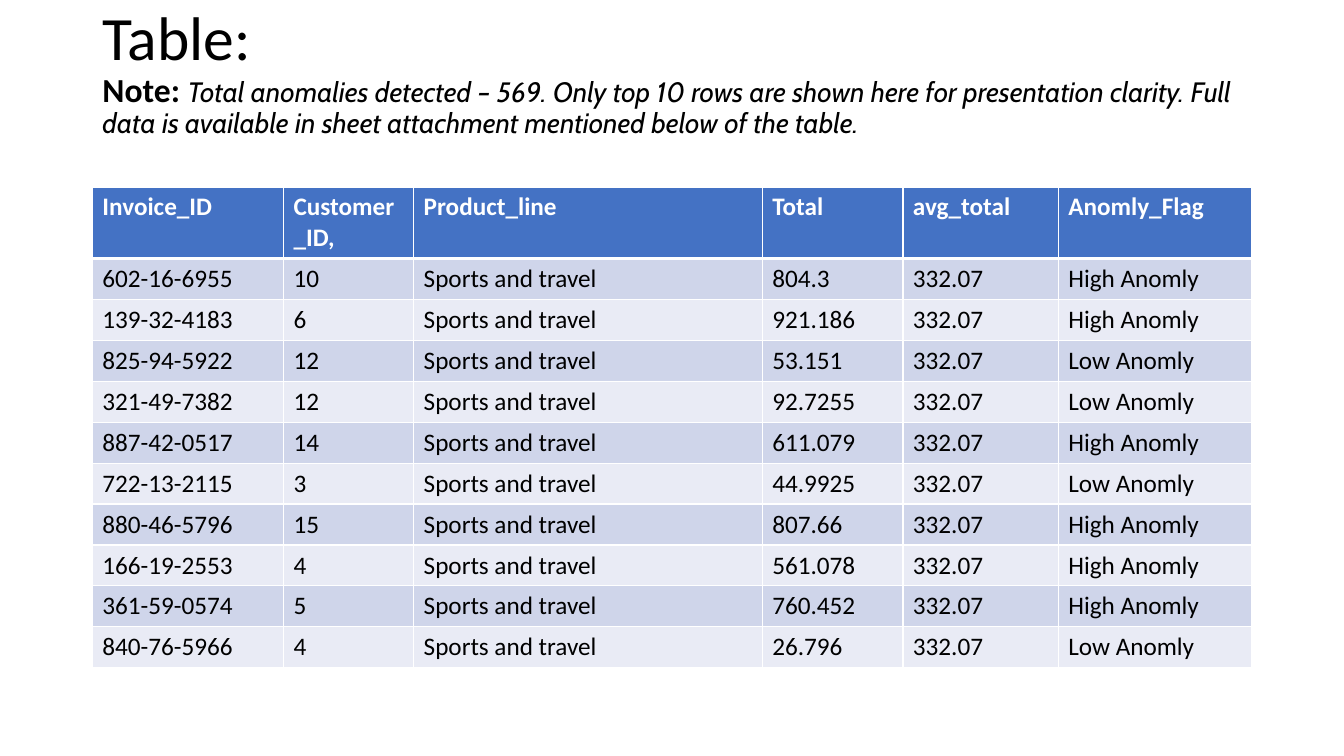
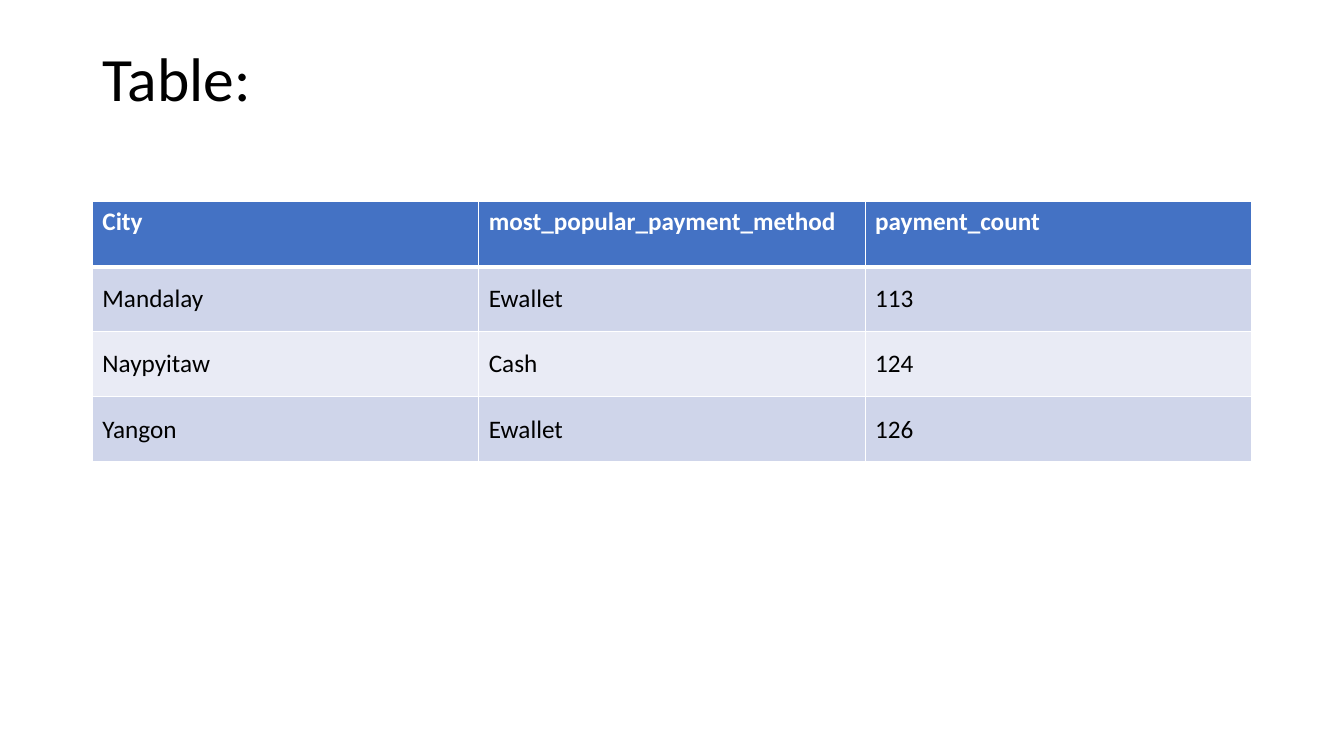
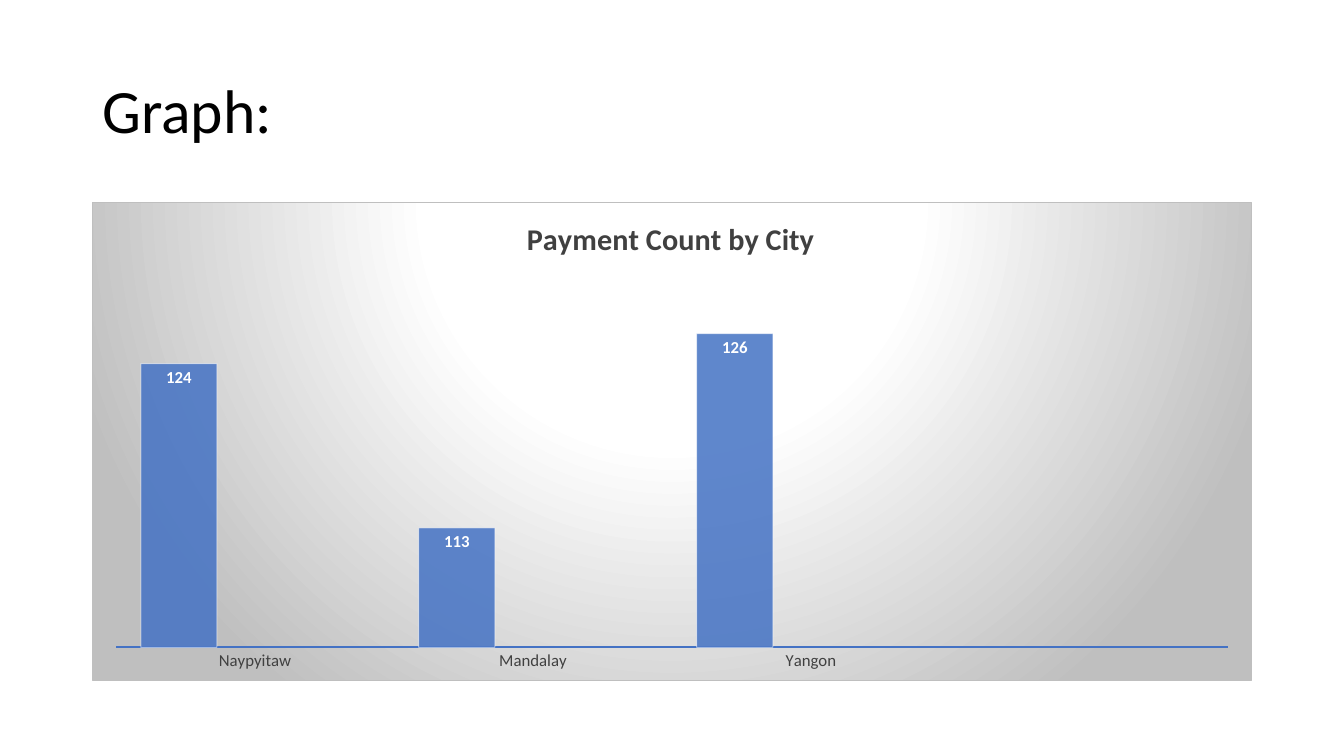
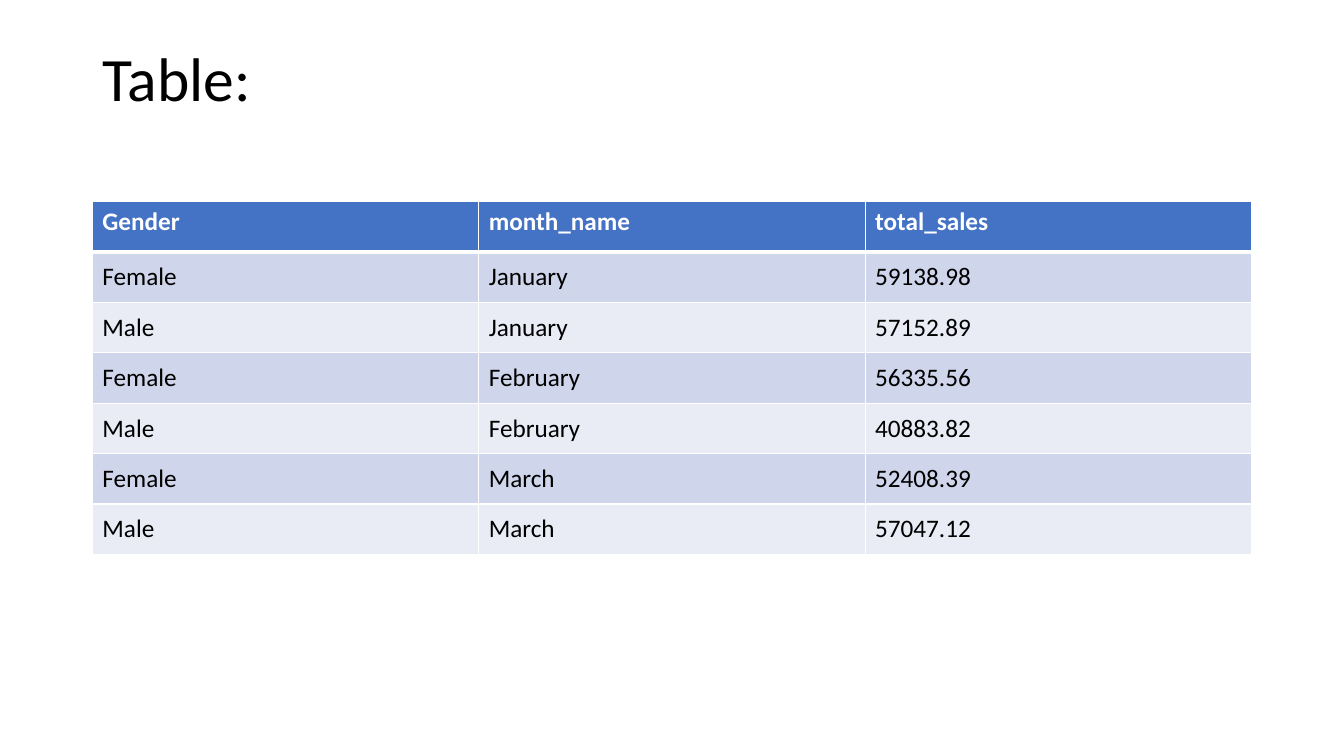
from lxml.etree import SubElement
from pptx import Presentation
from pptx.chart.data import CategoryChartData
from pptx.dml.color import RGBColor
from pptx.enum.chart import XL_CHART_TYPE as ChartType
from pptx.enum.chart import XL_LABEL_POSITION as LabelPos
from pptx.enum.chart import XL_TICK_MARK as TickMark
from pptx.enum.text import MSO_ANCHOR as Anchor
from pptx.enum.text import MSO_AUTO_SIZE as AutoSize
from pptx.enum.text import PP_ALIGN as Align
from pptx.oxml import parse_xml
from pptx.oxml.ns import nsdecls, qn
from pptx.util import Pt

EMU_PER_PX = 9525  # 96 px to the inch
SLIDE_W, SLIDE_H = 1280, 720
LEFT, WIDTH = 88, 1104
TITLE_TOP, BODY_TOP = 39, 192
FONT = "Calibri"
COLORS = {
    "text": "000000",
    "white": "FFFFFF",
    "header": "4472C4",
    "band_dark": "CFD5EA",
    "band_light": "E9EBF5",
    "chart_text": "404040",
    "chart_edge": "BFBFBF",
    "series": ["4472C4", "ED7D31", "A5A5A5"],
}

TITLE_FONT = {"name": FONT, "size": 44, "color": COLORS["text"]}
NOTE_LABEL_FONT = TITLE_FONT | {"size": 24, "bold": True}
NOTE_FONT = TITLE_FONT | {"name": "Cabin", "size": 20, "italic": True}
CELL_FONT = {"name": FONT, "size": 18, "color": COLORS["text"], "bold": False}
HEADER_FONT = CELL_FONT | {"color": COLORS["white"], "bold": True}
CHART_FONT = {"name": FONT, "size": 10, "color": COLORS["text"]}
CHART_TITLE_FONT = {"name": FONT, "size": 21.6, "color": COLORS["chart_text"], "bold": True}
AXIS_FONT = {"name": FONT, "size": 12, "color": COLORS["chart_text"]}
LABEL_FONT = {"name": FONT, "size": 12, "color": COLORS["white"], "bold": True}

NOTE = ("Total anomalies detected – 569. Only top 10 rows are shown here for presentation "
        "clarity. Full data is available in sheet attachment mentioned below of the table.")

ANOMALY_HEADER = ["Invoice_ID", "Customer_ID,", "Product_line", "Total", "avg_total", "Anomly_Flag"]
ANOMALY_WIDTHS = [182, 124, 332, 134, 148, 184]
ANOMALIES = [
    ("602-16-6955", "10", "804.3", "High"),
    ("139-32-4183", "6", "921.186", "High"),
    ("825-94-5922", "12", "53.151", "Low"),
    ("321-49-7382", "12", "92.7255", "Low"),
    ("887-42-0517", "14", "611.079", "High"),
    ("722-13-2115", "3", "44.9925", "Low"),
    ("880-46-5796", "15", "807.66", "High"),
    ("166-19-2553", "4", "561.078", "High"),
    ("361-59-0574", "5", "760.452", "High"),
    ("840-76-5966", "4", "26.796", "Low"),
]
PAYMENTS = [
    ["City", "most_popular_payment_method", "payment_count"],
    ["Mandalay", "Ewallet", "113"],
    ["Naypyitaw", "Cash", "124"],
    ["Yangon", "Ewallet", "126"],
]
SALES = [
    ["Gender", "month_name", "total_sales"],
    ["Female", "January", "59138.98"],
    ["Male", "January", "57152.89"],
    ["Female", "February", "56335.56"],
    ["Male", "February", "40883.82"],
    ["Female", "March", "52408.39"],
    ["Male", "March", "57047.12"],
]
CITIES = ["Naypyitaw", "Mandalay", "Yangon", ""]
CITY_COUNTS = [124, 113, 126, None]


def px(length):
    return length * EMU_PER_PX


def rgb(color):
    return RGBColor.from_string(color)


def set_font(font, style):
    for key, value in style.items():
        if key == "color":
            font.color.rgb = rgb(value)
        else:
            setattr(font, key, Pt(value) if key == "size" else value)


def add_title_slide(deck, heading, top, height, note=None):
    """Add a title-only slide; a note goes under the heading in the same title."""
    slide = deck.slides.add_slide(deck.slide_layouts[5])
    title = slide.shapes.title
    title.left, title.top, title.width, title.height = map(px, (LEFT, top, WIDTH, height))
    frame = title.text_frame
    frame.word_wrap = True
    frame.auto_size = AutoSize.NONE
    frame.vertical_anchor = Anchor.MIDDLE
    line = frame.paragraphs[0]
    line.alignment, line.line_spacing = Align.LEFT, 0.9
    parts = [(heading, TITLE_FONT)]
    if note:
        parts += [("Note: ", NOTE_LABEL_FONT), (note, NOTE_FONT)]
    for index, (text, style) in enumerate(parts):
        if index == 1:
            line.add_line_break()
        run = line.add_run()
        run.text = text
        set_font(run.font, style)
    return slide


def set_borders(cell, bottom):
    """Draw white cell borders of 1 point, and a bottom one of the given width."""
    properties = cell._tc.get_or_add_tcPr()
    for index, (side, width) in enumerate({"L": 1, "R": 1, "T": 1, "B": bottom}.items()):
        properties.insert(index, parse_xml(
            f'<a:ln{side} {nsdecls("a")} w="{Pt(width)}"><a:solidFill>'
            f'<a:srgbClr val="{COLORS["white"]}"/></a:solidFill></a:ln{side}>'))


def add_data_table(slide, rows, box, widths, heights):
    left, top, width = box
    table = slide.shapes.add_table(
        len(rows), len(widths), *map(px, (left, top, width, sum(heights)))).table
    for column, column_width in zip(table.columns, widths):
        column.width = px(column_width)
    for index, (row, height, values) in enumerate(zip(table.rows, heights, rows)):
        row.height = px(height)
        is_header = index == 0
        band = "header" if is_header else "band_dark" if index % 2 else "band_light"
        for cell, value in zip(row.cells, values):
            cell.text = value
            set_font(cell.text_frame.paragraphs[0].runs[0].font,
                     HEADER_FONT if is_header else CELL_FONT)
            cell.vertical_anchor = Anchor.TOP if is_header else Anchor.MIDDLE
            cell.fill.solid()
            cell.fill.fore_color.rgb = rgb(COLORS[band])
            set_borders(cell, bottom=3 if is_header else 1)


def set_layout(parent, index, **fractions):
    """Fix the place of a chart part, in fractions of the chart."""
    old = parent.find(qn("c:layout"))
    if old is not None:
        parent.remove(old)
    inner = '<c:layoutTarget val="inner"/>' if "w" in fractions else ""
    modes = "".join(f'<c:{key}Mode val="edge"/>' for key in "xy")
    places = "".join(f'<c:{key} val="{value}"/>' for key, value in fractions.items())
    parent.insert(index, parse_xml(
        f'<c:layout {nsdecls("c")}><c:manualLayout>{inner}{modes}{places}'
        f'</c:manualLayout></c:layout>'))


def set_chart_background(chart):
    stops = "".join(
        f'<a:gs pos="{percent * 1000}"><a:srgbClr val="{COLORS[name]}"/></a:gs>'
        for percent, name in ((0, "white"), (39, "white"), (100, "chart_edge")))
    chart.element.find(qn("c:chart")).addnext(parse_xml(
        f'<c:spPr {nsdecls("c", "a")}><a:gradFill><a:gsLst>{stops}</a:gsLst>'
        f'<a:path path="circle"><a:fillToRect l="50000" t="-80000" r="50000" b="180000"/>'
        f'</a:path></a:gradFill><a:ln w="{Pt(0.75)}"><a:solidFill>'
        f'<a:srgbClr val="{COLORS["chart_edge"]}"/></a:solidFill></a:ln></c:spPr>'))


def style_series(series, color):
    series.format.fill.solid()
    series.format.fill.fore_color.rgb = rgb(color)
    series.format.line.color.rgb = rgb(COLORS["white"])
    series.format.line.width = Pt(0.75)
    fill_and_line = series._element.find(qn("c:spPr")).iter(qn("a:srgbClr"))
    for paint, opacity in zip(list(fill_and_line), (85, 50)):
        SubElement(paint, qn("a:alpha"), val=str(opacity * 1000))
    labels = series.data_labels
    labels.show_value = True
    labels.position = LabelPos.INSIDE_END
    set_font(labels.font, LABEL_FONT)


def add_city_chart(slide, box):
    data = CategoryChartData()
    data.categories = CITIES
    empty = [None] * len(CITIES)
    for number, counts in enumerate((CITY_COUNTS, empty, empty), 1):
        data.add_series(f"Series {number}", counts)
    chart = slide.shapes.add_chart(ChartType.COLUMN_CLUSTERED, *map(px, box), data).chart
    set_font(chart.font, CHART_FONT)
    set_chart_background(chart)
    chart.has_legend = False

    heading = chart.chart_title.text_frame
    heading.text = "Payment Count by City"
    set_font(heading.paragraphs[0].runs[0].font, CHART_TITLE_FONT)
    set_layout(chart.chart_title._element, 1, x=0.37, y=0.02)
    set_layout(chart.element.find(".//" + qn("c:plotArea")), 0, x=0.02, y=0.15, w=0.96, h=0.78)

    plot = chart.plots[0]
    plot.gap_width, plot.overlap, plot.vary_by_categories = 65, 0, False
    for series, color in zip(plot.series, COLORS["series"]):
        style_series(series, color)

    cities = chart.category_axis
    cities.major_tick_mark = TickMark.NONE
    cities.format.line.color.rgb = rgb(COLORS["header"])
    cities.format.line.width = Pt(1.5)
    set_font(cities.tick_labels.font, AXIS_FONT)
    counts = chart.value_axis
    counts.minimum_scale, counts.maximum_scale = 105, 130
    counts.has_major_gridlines = False
    counts.visible = False


def add_anomaly_slide(deck):
    slide = add_title_slide(deck, "Table:", 0, 140, NOTE)
    rows = [ANOMALY_HEADER] + [
        [invoice, customer, "Sports and travel", total, "332.07", f"{level} Anomly"]
        for invoice, customer, total, level in ANOMALIES]
    add_data_table(slide, rows, (LEFT, 178, WIDTH), ANOMALY_WIDTHS, [67] + [39] * len(ANOMALIES))


def add_even_table_slide(deck, rows, row_height):
    """Add a slide whose table has equal columns and equal rows."""
    slide = add_title_slide(deck, "Table:", TITLE_TOP, 78)
    columns = len(rows[0])
    add_data_table(slide, rows, (LEFT, BODY_TOP, WIDTH),
                   [WIDTH // columns] * columns, [row_height] * len(rows))


def add_graph_slide(deck):
    slide = add_title_slide(deck, "Graph:", TITLE_TOP, 139)
    add_city_chart(slide, (LEFT, BODY_TOP, WIDTH, 457))


def main():
    deck = Presentation()
    deck.slide_width, deck.slide_height = px(SLIDE_W), px(SLIDE_H)
    add_anomaly_slide(deck)
    add_even_table_slide(deck, PAYMENTS, 62)
    add_graph_slide(deck)
    add_even_table_slide(deck, SALES, 48)
    deck.save("out.pptx")


if __name__ == "__main__":
    main()
